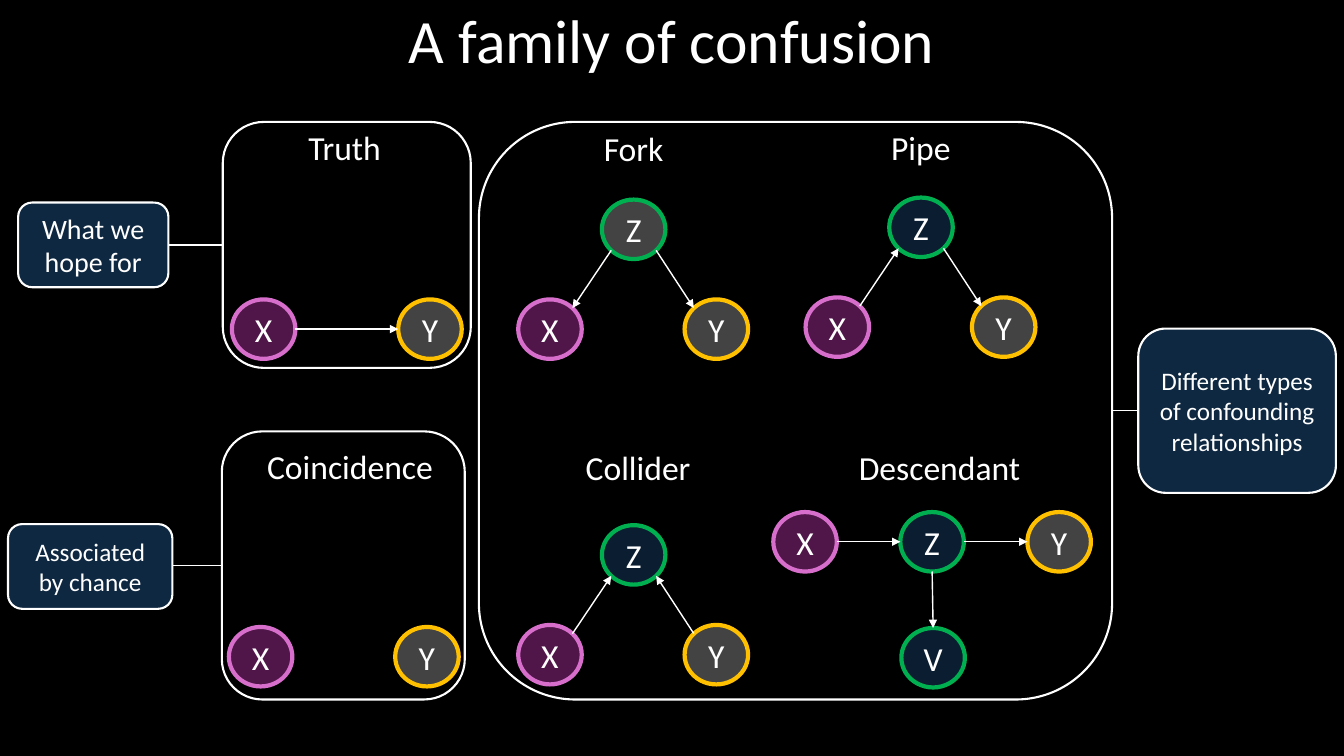
import math
from dataclasses import dataclass

import pptx
import pptx.dml.color
import pptx.enum.shapes
import pptx.enum.text
import pptx.oxml
import pptx.oxml.ns
import pptx.util
from pptx.util import Inches

SHAPE = pptx.enum.shapes.MSO_SHAPE
ALIGN = pptx.enum.text.PP_ALIGN
ANCHOR = pptx.enum.text.MSO_ANCHOR
FIT = pptx.enum.text.MSO_AUTO_SIZE


@dataclass(frozen=True)
class Theme:
    font: str = "Calibri"
    back: str = "000000"
    ink: str = "FFFFFF"
    navy: str = "0E2841"
    plum: str = "501649"
    pink: str = "D86ECC"
    gray: str = "434343"
    gold: str = "FFC000"
    dark: str = "0B1E31"
    green: str = "00B050"
    title: int = 44
    label: int = 24
    large: int = 20
    small: int = 18


THEME = Theme()
NODE_W, NODE_H = 0.63, 0.59
# Fill and outline of each node letter
NODES = {
    "X": (THEME.plum, THEME.pink),
    "Y": (THEME.gray, THEME.gold),
    "Z": (THEME.dark, THEME.green),
    "V": (THEME.dark, THEME.green),
}


def color(code):
    return pptx.dml.color.RGBColor.from_string(code)


def text(shape, words, size=THEME.label, align=ALIGN.CENTER,
         anchor=ANCHOR.MIDDLE, wrap=True, spacing=None):
    frame = shape.text_frame
    frame.word_wrap = wrap
    frame.vertical_anchor = anchor
    para = frame.paragraphs[0]
    para.alignment = align
    para.line_spacing = spacing
    run = para.add_run()
    run.text = words
    run.font.name = THEME.font
    run.font.size = pptx.util.Pt(size)
    run.font.color.rgb = color(THEME.ink)
    return frame


def block(group, kind, box, fill=None, edge=THEME.ink, width=1.5):
    shape = group.shapes.add_shape(kind, *map(Inches, box))
    shape.shadow.inherit = False
    if fill:
        shape.fill.solid()
        shape.fill.fore_color.rgb = color(fill)
    else:
        shape.fill.background()
    shape.line.color.rgb = color(edge)
    shape.line.width = pptx.util.Pt(width)
    return shape


def line(group, start, end, arrow=False):
    link = group.shapes.add_connector(
        pptx.enum.shapes.MSO_CONNECTOR.STRAIGHT, *map(Inches, start + end))
    link.line.color.rgb = color(THEME.ink)
    link.line.width = pptx.util.Pt(1)
    if arrow:
        tip = pptx.oxml.parse_xml(
            f'<a:tailEnd {pptx.oxml.ns.nsdecls("a")} type="triangle"/>')
        link.line._get_or_add_ln().append(tip)
    link._element.spPr.append(
        pptx.oxml.parse_xml(f'<a:effectLst {pptx.oxml.ns.nsdecls("a")}/>'))


def port(spot, angle):
    """Point on a node's rim in the given direction."""
    return (spot[0] + NODE_W / 2 * (1 + math.cos(angle)),
            spot[1] + NODE_H / 2 * (1 + math.sin(angle)))


def arrow(group, start, end):
    """Join two nodes at the rim points nearest a multiple of 45 degrees."""
    step = math.pi / 4
    angle = math.atan2(end[1] - start[1], end[0] - start[0])
    angle = round(angle / step) * step
    line(group, port(start, angle), port(end, angle + math.pi), arrow=True)


def graph(slide, name, box, spots, links, fills):
    """Draw a titled graph; links are letter pairs such as XY."""
    group = slide.shapes.add_group_shape()
    for letter, spot in spots.items():
        fill, edge = NODES[letter]
        oval = block(group, SHAPE.OVAL, (*spot, NODE_W, NODE_H),
                     fills.get(letter, fill), edge, 3)
        text(oval, letter)
    for start, end in links:
        arrow(group, spots[start], spots[end])
    label = group.shapes.add_textbox(*map(Inches, (*box, 0.5)))
    frame = text(label, name, align=ALIGN.LEFT, anchor=ANCHOR.TOP, wrap=False)
    frame.auto_size = FIT.SHAPE_TO_FIT_TEXT


def pair(left, top):
    return {"Y": (left + 1.65, top), "X": (left, top)}


def peak(left, top):
    """X and Y at the base, Z above them."""
    return {**pair(left, top + 0.99), "Z": (left + 0.83, top)}


def note(slide, words, size, box, area):
    """Draw a note, the frame it describes and the line between them."""
    group = slide.shapes.add_group_shape()
    text(block(group, SHAPE.ROUNDED_RECTANGLE, box, THEME.navy), words, size)
    block(group, SHAPE.ROUNDED_RECTANGLE, area)
    first, last = sorted((box, area))
    mid = area[1] + area[3] / 2
    line(group, (first[0] + first[2], mid), (last[0], mid))


def main():
    deck = pptx.Presentation()
    deck.slide_width, deck.slide_height = Inches(13.33), Inches(7.5)
    slide = deck.slides.add_slide(deck.slide_layouts[6])
    slide.background.fill.solid()
    slide.background.fill.fore_color.rgb = color(THEME.back)

    # Title
    title = slide.shapes.add_textbox(0, 0, deck.slide_width, Inches(0.84))
    frame = text(title, "A family of confusion", size=THEME.title,
                 anchor=ANCHOR.TOP, spacing=0.9)
    frame.margin_top = frame.margin_bottom = Inches(0.1)

    # Graphs: name, label place and width, nodes, links, own fills
    row = {"Y": (10.19, 5.08), "X": (7.67, 5.08),
           "Z": (8.93, 5.08), "V": (8.94, 6.23)}
    for item in (
        ("Pipe", (8.74, 1.21, 0.86), peak(7.99, 1.96), ("ZY", "XZ"), {}),
        ("Fork", (5.89, 1.22, 0.9), peak(5.14, 1.98), ("ZX", "ZY"),
         {"Z": THEME.gray}),
        ("Collider", (5.71, 4.38, 1.38), peak(5.14, 5.21), ("XZ", "YZ"), {}),
        ("Truth", (2.96, 1.21, 0.99), pair(2.3, 2.97), ("XY",), {}),
        ("Coincidence", (2.55, 4.37, 2.02), pair(2.27, 6.22), (), {}),
        ("Descendant", (8.42, 4.38, 1.97), row, ("XZ", "ZY", "ZV"), {}),
    ):
        graph(slide, *item)

    # Notes and frames
    note(slide, "What we hope for", THEME.large,
         (0.18, 2.01, 1.49, 0.84), (2.21, 1.21, 2.46, 2.44))
    note(slide, "Different types of confounding relationships", THEME.small,
         (11.29, 3.26, 1.96, 1.63), (4.75, 1.21, 6.28, 5.73))
    note(slide, "Associated by chance", THEME.small,
         (0.08, 5.2, 1.63, 0.84), (2.2, 4.28, 2.41, 2.66))

    deck.save("out.pptx")


if __name__ == "__main__":
    main()
